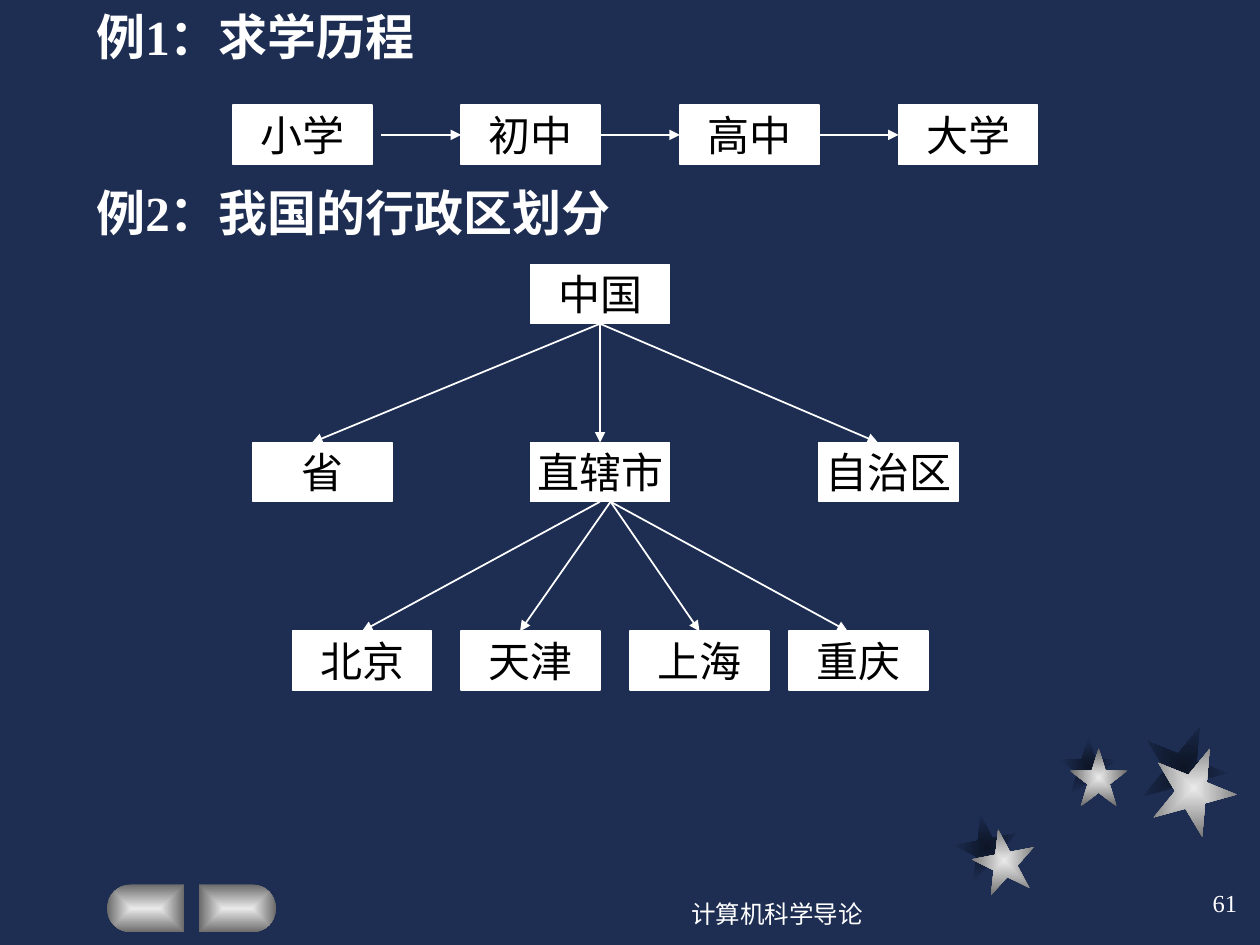
"""Build a slide with a schooling sequence and a tree of administrative divisions."""
import math

import lxml.etree
import pptx
import pptx.dml.color
import pptx.enum.shapes
import pptx.enum.text
import pptx.oxml.ns
import pptx.util

Pt = pptx.util.Pt
RGBColor = pptx.dml.color.RGBColor
SHAPE = pptx.enum.shapes.MSO_SHAPE
ALIGN = pptx.enum.text.PP_ALIGN
MIDDLE = pptx.enum.text.MSO_ANCHOR.MIDDLE
qn = pptx.oxml.ns.qn

NAVY = RGBColor(0x1E, 0x2E, 0x53)
DARK_NAVY = RGBColor(0x0D, 0x15, 0x26)
SILVER = RGBColor(0xEA, 0xEA, 0xEA)
GREY = RGBColor(0x6B, 0x6B, 0x6B)
WHITE = RGBColor(0xFF, 0xFF, 0xFF)
BLACK = RGBColor(0, 0, 0)
FONT = "Times New Roman"

HEADINGS = ["例1：求学历程", "例2：我国的行政区划分"]
HEADING_GAP = 67
FOOTERS = [
    ("计算机科学导论", (330, 504, 228, 36), ALIGN.CENTER),
    ("61", (564, 498, 150, 36), ALIGN.RIGHT),
]

NODE_WIDTH, NODE_HEIGHT = 79.4, 33.8
ROWS = [
    (60.2, [("小学", 133), ("初中", 263.5), ("高中", 388.5), ("大学", 513.5)]),
    (151.2, [("中国", 303.2)]),
    (252.9, [("省", 144.6), ("直辖市", 303.2), ("自治区", 468)]),
    (360.7, [("北京", 167.2), ("天津", 263.5), ("上海", 360), ("重庆", 450.7)]),
]
TOP, LEFT, BOTTOM, RIGHT = range(4)
STEPS = [("小学", 5.2, "初中"), ("初中", 0, "高中"), ("高中", 0, "大学")]
BRANCHES = [
    ("中国", 0, "直辖市", 0),
    ("中国", 0, "省", -6),
    ("中国", 0, "自治区", -6),
    ("直辖市", 0, "北京", 0),
    ("直辖市", 6, "天津", -6),
    ("直辖市", 6, "上海", 0),
    ("直辖市", 6, "重庆", -6),
]

STAR_SETS = [
    ((DARK_NAVY, NAVY), [(545.8, 465.8), (605.5, 421.2), (652.3, 414)]),
    ((SILVER, GREY), [(555.8, 473.8), (611.3, 427.7), (658.1, 426.2)]),
]
STAR_FORMS = [(36, 349), (33.1, 0), (48.2, 22)]

BUTTON_TOP, BUTTON_WIDTH, BUTTON_RADIUS = 505.4, 43.9, 13.7
BUTTONS = [(105.1, -1), (113.8, 1)]


def fill_from_centre(shape, inner, outer):
    shape.shadow.inherit = False
    shape.line.fill.background()
    shape.fill.gradient()
    for stop, color in zip(shape.fill.gradient_stops, (inner, outer)):
        stop.color.rgb = color
    gradient = shape._element.spPr.find(qn("a:gradFill"))
    gradient.remove(gradient.find(qn("a:lin")))
    path = lxml.etree.SubElement(gradient, qn("a:path"), {"path": "rect"})
    centre = dict.fromkeys("ltrb", "50000")
    lxml.etree.SubElement(path, qn("a:fillToRect"), centre)


def format_text(paragraph, size, color, align=None, bold=False):
    paragraph.alignment = align
    for span in paragraph.runs:
        span.font.name = FONT
        span.font.size = Pt(size)
        span.font.bold = bold
        span.font.color.rgb = color


def add_star(page, left, top, size, rotation, colors):
    star = page.shapes.add_shape(SHAPE.STAR_5_POINT, Pt(left), Pt(top), Pt(size), Pt(size))
    star.rotation = rotation
    fill_from_centre(star, *colors)


def add_button(page, flat_edge, direction):
    reach = BUTTON_WIDTH - BUTTON_RADIUS
    middle = BUTTON_TOP + BUTTON_RADIUS
    points = [(flat_edge, BUTTON_TOP)]
    for step in range(17):
        angle = math.pi * step / 16
        points.append((
            flat_edge + direction * (reach + BUTTON_RADIUS * math.sin(angle)),
            middle - BUTTON_RADIUS * math.cos(angle),
        ))
    points.append((flat_edge, middle + BUTTON_RADIUS))
    points = [(Pt(x), Pt(y)) for x, y in points]
    builder = page.shapes.build_freeform(*points[0])
    builder.add_line_segments(points[1:], close=True)
    fill_from_centre(builder.convert_to_shape(), SILVER, GREY)


def add_node(page, label, left, top):
    node = page.shapes.add_shape(
        SHAPE.RECTANGLE, Pt(left), Pt(top), Pt(NODE_WIDTH), Pt(NODE_HEIGHT))
    node.shadow.inherit = False
    node.fill.solid()
    node.fill.fore_color.rgb = WHITE
    node.line.color.rgb = WHITE
    node.line.width = Pt(1)
    frame = node.text_frame
    frame.word_wrap = False
    frame.vertical_anchor = MIDDLE
    frame.text = label
    format_text(frame.paragraphs[0], 24, BLACK, ALIGN.CENTER)
    return node


def side_point(node, side, shift):
    if side in (TOP, BOTTOM):
        x = node.left + node.width // 2 + Pt(shift)
        return x, node.top + (node.height if side == BOTTOM else 0)
    x = node.left + (node.width if side == RIGHT else 0) + Pt(shift)
    return x, node.top + node.height // 2


def add_arrow(page, source, source_side, source_shift, target, target_side, target_shift):
    arrow = page.shapes.add_connector(
        pptx.enum.shapes.MSO_CONNECTOR.STRAIGHT,
        *side_point(source, source_side, source_shift),
        *side_point(target, target_side, target_shift))
    if source_shift == 0:
        arrow.begin_connect(source, source_side)
    if target_shift == 0:
        arrow.end_connect(target, target_side)
    arrow.line.color.rgb = WHITE
    arrow.line.width = Pt(1)
    lxml.etree.SubElement(arrow.line._get_or_add_ln(), qn("a:tailEnd"), {"type": "triangle"})
    lxml.etree.SubElement(arrow._element.spPr, qn("a:effectLst"))


def add_text(page, lines, area):
    box = page.shapes.add_textbox(*map(Pt, area))
    box.text_frame.word_wrap = True
    box.text_frame.text = "\n".join(lines)
    return box.text_frame


def main():
    deck = pptx.Presentation()
    deck.slide_width, deck.slide_height = Pt(720), Pt(540)
    page = deck.slides.add_slide(deck.slide_layouts[6])
    page.background.fill.solid()
    page.background.fill.fore_color.rgb = NAVY

    for colors, places in STAR_SETS:
        for (left, top), (size, rotation) in zip(places, STAR_FORMS):
            add_star(page, left, top, size, rotation, colors)
    for flat_edge, direction in BUTTONS:
        add_button(page, flat_edge, direction)

    headings = add_text(page, HEADINGS, (48, 0, 646.6, 444))
    for paragraph in headings.paragraphs:
        format_text(paragraph, 28, WHITE, bold=True)
    headings.paragraphs[1].space_before = Pt(HEADING_GAP)

    nodes = {
        label: add_node(page, label, left, top)
        for top, row in ROWS for label, left in row
    }
    for source, shift, target in STEPS:
        add_arrow(page, nodes[source], RIGHT, shift, nodes[target], LEFT, 0)
    for source, source_shift, target, target_shift in BRANCHES:
        add_arrow(page, nodes[source], BOTTOM, source_shift, nodes[target], TOP, target_shift)

    for label, area, align in FOOTERS:
        frame = add_text(page, [label], area)
        frame.vertical_anchor = MIDDLE
        format_text(frame.paragraphs[0], 14, WHITE, align)

    deck.save("out.pptx")


if __name__ == "__main__":
    main()
